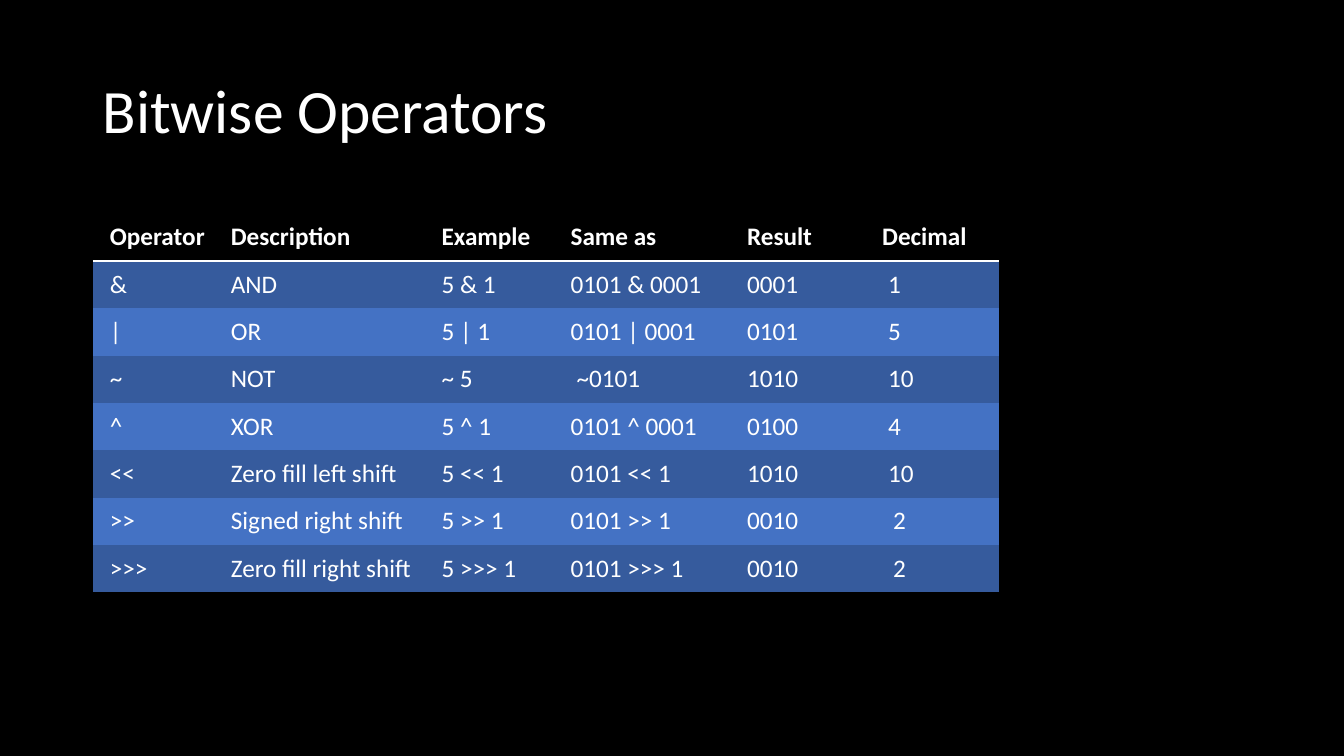
"""Build a slide with a table of the bitwise operators."""
import dataclasses

import pptx
import pptx.dml.color
import pptx.enum.text
import pptx.oxml
import pptx.oxml.ns
import pptx.slide
import pptx.table
import pptx.text.text
import pptx.util

Inches = pptx.util.Inches
Pt = pptx.util.Pt

COLORS = {"background": "000000", "text": "FFFFFF", "dark": "365B9D", "light": "4472C4"}
FONT = "Calibri"
NO_GRID_STYLE = "{2D5ABB26-0587-4C30-8999-92F81FD0307C}"
PADDING = 0.08
FIRST_PADDING = 0.17
ROW_HEIGHT = 0.47


@dataclasses.dataclass(frozen=True)
class Column:
    heading: str
    width: float


@dataclasses.dataclass(frozen=True)
class Operation:
    operator: str
    description: str
    example: str
    same_as: str
    result: str
    decimal: str
    same_as_indent: float = 0
    decimal_indent: float = 0.06

    def texts(self) -> list[str]:
        return [self.operator, self.description, self.example,
                self.same_as, self.result, self.decimal]

    def indents(self) -> list[float]:
        return [0, 0, 0, self.same_as_indent, 0, self.decimal_indent]


COLUMNS = [
    Column("Operator", 1.29),
    Column("Description", 2.09),
    Column("Example", 1.28),
    Column("Same as", 1.75),
    Column("Result", 1.34),
    Column("Decimal", 1.24),
]

OPERATIONS = [
    Operation("&", "AND", "5 & 1", "0101 & 0001", "0001", "1"),
    Operation("|", "OR", "5 | 1", "0101 | 0001", "0101", "5"),
    Operation("~", "NOT", "~ 5", "~0101", "1010", "10", same_as_indent=0.06),
    Operation("^", "XOR", "5 ^ 1", "0101 ^ 0001", "0100", "4"),
    Operation("<<", "Zero fill left shift", "5 << 1", "0101 << 1", "1010", "10"),
    Operation(">>", "Signed right shift", "5 >> 1", "0101 >> 1", "0010", "2",
              decimal_indent=0.11),
    Operation(">>>", "Zero fill right shift", "5 >>> 1", "0101 >>> 1", "0010", "2",
              decimal_indent=0.11),
]


def rgb(name: str) -> pptx.dml.color.RGBColor:
    return pptx.dml.color.RGBColor.from_string(COLORS[name])


def add_run(p: pptx.text.text._Paragraph, text: str, size: float, bold: bool = False) -> None:
    r = p.add_run()
    r.text = text
    r.font.name = FONT
    r.font.size = Pt(size)
    r.font.bold = bold
    r.font.color.rgb = rgb("text")


def add_title(slide: pptx.slide.Slide, text: str) -> None:
    sp = slide.shapes.add_textbox(Inches(0.92), Inches(0.4), Inches(11.5), Inches(1.45))
    tf = sp.text_frame
    tf.word_wrap = True
    tf.vertical_anchor = pptx.enum.text.MSO_ANCHOR.MIDDLE
    p = tf.paragraphs[0]
    p.line_spacing = 0.9
    add_run(p, text, 44)


def underline_cell(cell: pptx.table._Cell) -> None:
    border = pptx.oxml.parse_xml(
        f'<a:lnB {pptx.oxml.ns.nsdecls("a")} w="{Pt(2)}"><a:solidFill>'
        f'<a:srgbClr val="{COLORS["text"]}"/></a:solidFill></a:lnB>'
    )
    cell._tc.get_or_add_tcPr().insert(0, border)


def fill_row(table: pptx.table.Table, row: int, texts: list[str],
             indents: list[float], fill: str, bold: bool) -> None:
    table.rows[row].height = Inches(ROW_HEIGHT)
    for col, (text, indent) in enumerate(zip(texts, indents)):
        cell = table.cell(row, col)
        cell.margin_left = Inches((PADDING if col else FIRST_PADDING) + indent)
        cell.margin_right = cell.margin_top = cell.margin_bottom = Inches(PADDING)
        cell.fill.solid()
        cell.fill.fore_color.rgb = rgb(fill)
        add_run(cell.text_frame.paragraphs[0], text, 18, bold)


def add_operator_table(slide: pptx.slide.Slide) -> None:
    rows = len(OPERATIONS) + 1
    width = sum(column.width for column in COLUMNS)
    frame = slide.shapes.add_table(rows, len(COLUMNS), Inches(0.92), Inches(2.12),
                                   Inches(width), Inches(rows * ROW_HEIGHT))
    table = frame.table
    table.horz_banding = False
    table._tbl.tblPr.find(pptx.oxml.ns.qn("a:tableStyleId")).text = NO_GRID_STYLE
    for col, column in enumerate(COLUMNS):
        table.columns[col].width = Inches(column.width)

    headings = [column.heading for column in COLUMNS]
    fill_row(table, 0, headings, [0] * len(COLUMNS), "background", True)
    for cell in table.rows[0].cells:
        underline_cell(cell)
    for row, operation in enumerate(OPERATIONS, start=1):
        fill = "dark" if row % 2 else "light"
        fill_row(table, row, operation.texts(), operation.indents(), fill, False)


def main() -> None:
    prs = pptx.Presentation()
    prs.slide_width = Inches(13.33)
    prs.slide_height = Inches(7.5)
    slide = prs.slides.add_slide(prs.slide_layouts[6])
    slide.background.fill.solid()
    slide.background.fill.fore_color.rgb = rgb("background")
    add_title(slide, "Bitwise Operators")
    add_operator_table(slide)
    prs.save("out.pptx")


if __name__ == "__main__":
    main()
